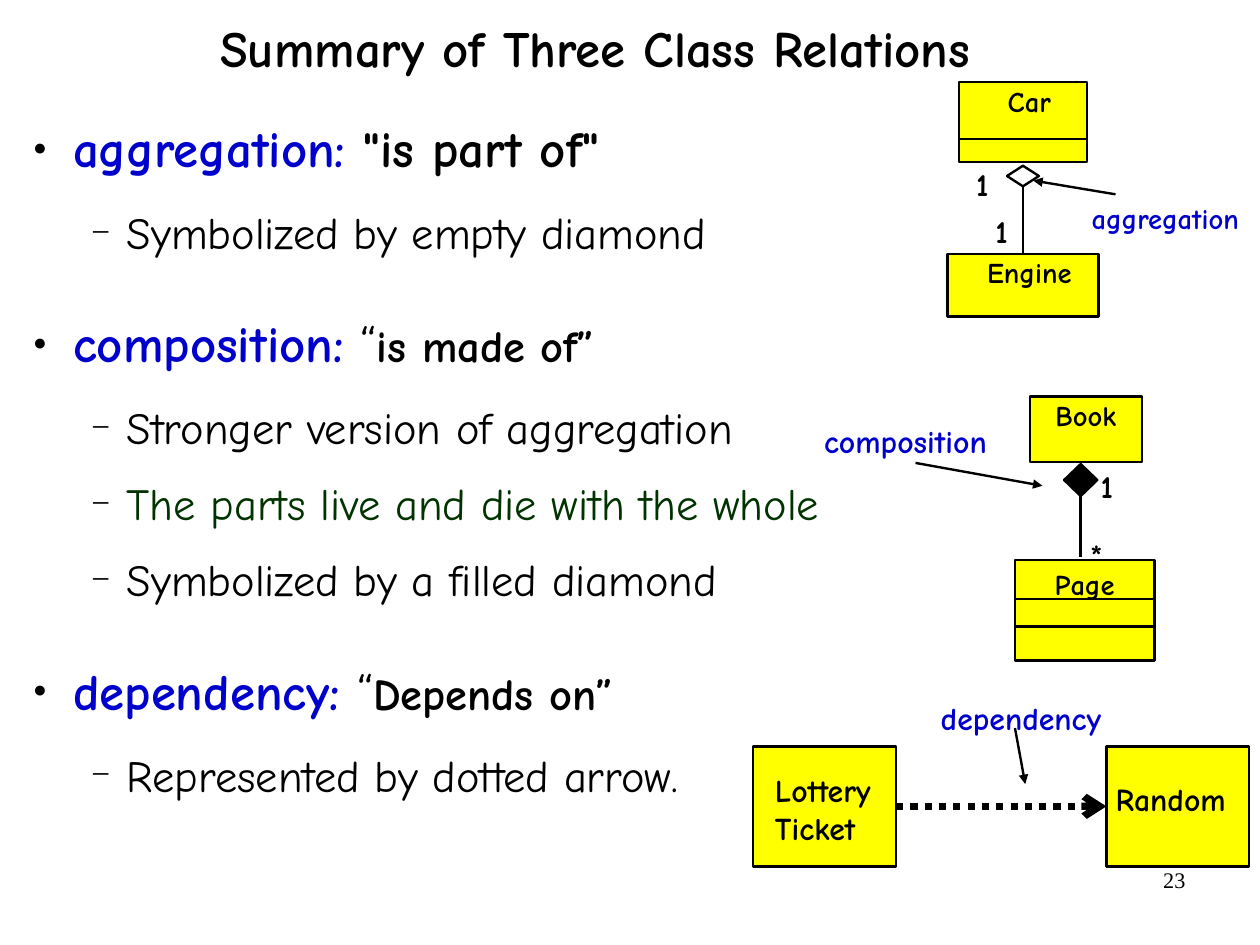
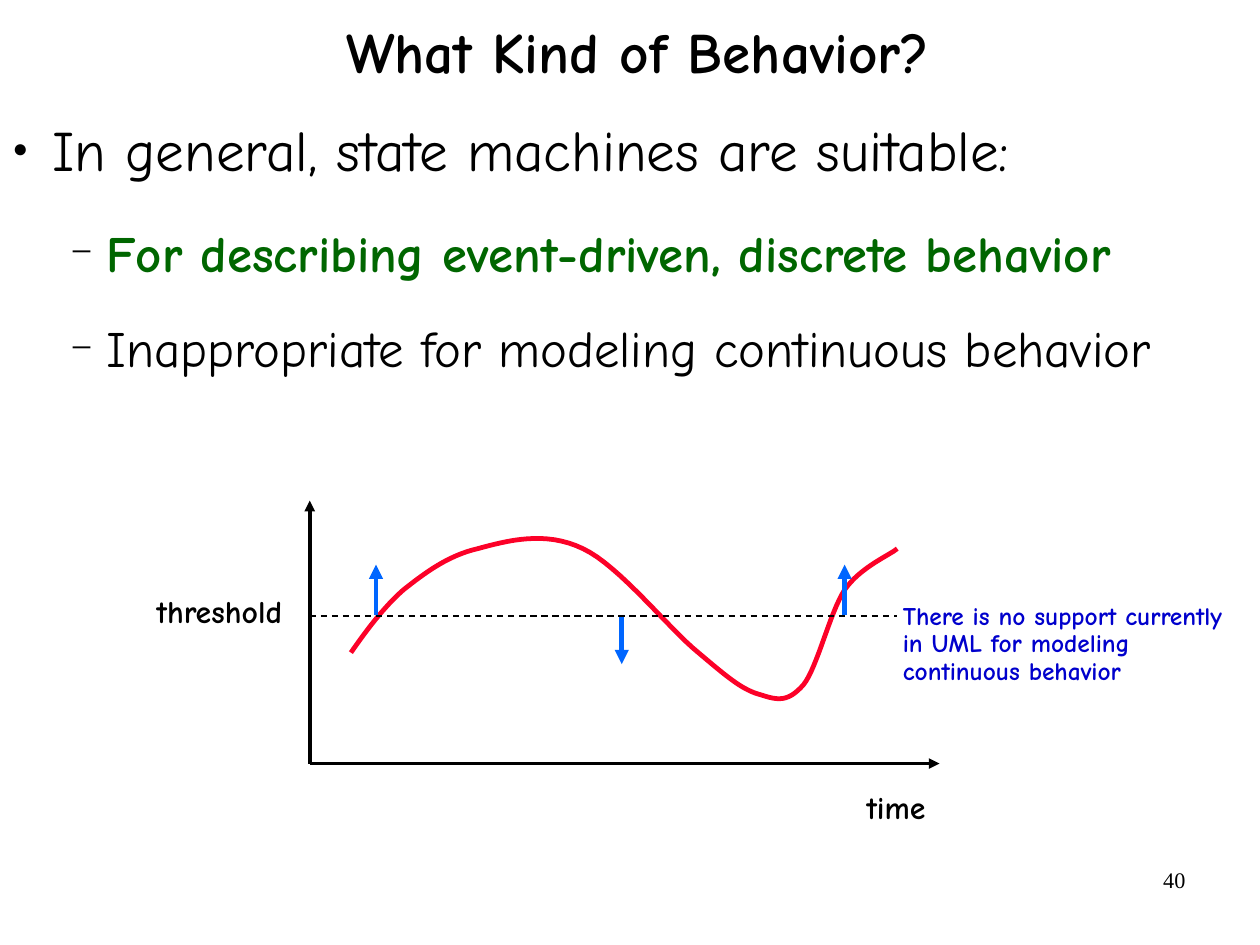
from dataclasses import dataclass
from typing import NamedTuple

from lxml import etree
from pptx import Presentation
from pptx.dml.color import RGBColor
from pptx.enum.dml import MSO_LINE
from pptx.enum.shapes import MSO_CONNECTOR, MSO_SHAPE
from pptx.enum.text import MSO_ANCHOR, PP_ALIGN
from pptx.oxml.ns import qn
from pptx.util import Cm, Inches, Pt

RECT, DIAMOND = MSO_SHAPE.RECTANGLE, MSO_SHAPE.DIAMOND
STRAIGHT = MSO_CONNECTOR.STRAIGHT
LEFT, MID, RIGHT = PP_ALIGN.LEFT, PP_ALIGN.CENTER, PP_ALIGN.RIGHT
TOP, CORE = MSO_ANCHOR.TOP, MSO_ANCHOR.MIDDLE
DOT, DASH = MSO_LINE.ROUND_DOT, MSO_LINE.DASH
CELL = Inches(0.1)


@dataclass(frozen=True)
class Theme:
    """Colours, fonts and type sizes of the deck."""
    face: str = "Comic Neue"
    serif: str = "Times New Roman"
    ink: str = "000000"
    blue: str = "0000CC"
    pine: str = "003300"
    green: str = "006600"
    gold: str = "FFFF00"
    red: str = "FC0128"
    sky: str = "0066FF"
    huge: int = 36
    large: int = 32
    body: int = 28
    label: int = 20
    name: int = 18
    note: int = 16
    foot: int = 14


T = Theme()


class Box(NamedTuple):
    """Area measured in grid cells."""
    x: float
    y: float
    w: float
    h: float

    def sub(self, x, y, w, h):
        """Return an area placed from this one's corner."""
        return Box(self.x + x, self.y + y, w, h)

    def dot(self, x, y):
        """Return a point placed from this one's corner."""
        return round((self.x + x) * CELL), round((self.y + y) * CELL)

    def emu(self):
        """Return the four lengths in slide units."""
        return [round(v * CELL) for v in self]


class Run(NamedTuple):
    """Text with one look."""
    text: str
    size: int
    tint: str = T.ink
    bold: bool = True
    face: str = T.face


class Para(NamedTuple):
    """Runs with paragraph format and an optional bullet level."""
    runs: list
    form: dict
    level: int = None


BULLETS = [("●", 45, 0.46, -0.35), ("−", 75, 0.93, -0.31)]


def adorn(obj, vals):
    """Set each named value on the object."""
    for key, val in vals.items():
        setattr(obj, key, val)


def tag(parent, name, **attrs):
    """Append a drawing element."""
    return etree.SubElement(parent, qn(name), attrs)


def mark(para, level):
    """Give a paragraph the bullet of its level."""
    char, size, left, hang = BULLETS[level]
    para.level = level
    prop = para._p.get_or_add_pPr()
    prop.set("marL", str(Inches(left)))
    prop.set("indent", str(Inches(hang)))
    tag(tag(prop, "a:buClr"), "a:srgbClr", val=T.ink)
    tag(prop, "a:buSzPct", val=str(size * 1000))
    tag(prop, "a:buFont", typeface=T.serif)
    tag(prop, "a:buChar", char=char)


def fill_para(para, runs):
    """Add the runs, breaking lines where their text does."""
    for part in runs:
        for i, words in enumerate(part.text.split("\n")):
            if i:
                para.add_line_break()
            run = para.add_run()
            run.text = words
            adorn(run.font, dict(name=part.face, size=Pt(part.size), bold=part.bold))
            run.font.color.rgb = RGBColor.from_string(part.tint)


def write(shape, paras, pads=(0, 0, 0, 0), anchor=TOP):
    """Fill a shape's frame with paragraphs; pads are in cells."""
    frame = shape.text_frame
    left, top, right, base = [round(v * CELL) for v in pads]
    adorn(frame, dict(word_wrap=True, vertical_anchor=anchor, margin_left=left,
                      margin_top=top, margin_right=right, margin_bottom=base))
    for i, item in enumerate(paras):
        para = frame.add_paragraph() if i else frame.paragraphs[0]
        if item.level is not None:
            mark(para, item.level)
        adorn(para, item.form)
        fill_para(para, item.runs)


def text(page, box, paras, pads=(0, 0, 0, 0), anchor=TOP):
    """Add a text box."""
    write(page.shapes.add_textbox(*box.emu()), paras, pads, anchor)


def label(page, box, words, size=T.label, tint=T.ink, align=LEFT):
    """Add a short bold caption."""
    text(page, box, [Para([Run(words, size, tint)], dict(alignment=align))],
         (1.1, 0.6, 1.1, 0.6))


def ink(shape, tint, width):
    """Set a shape's outline."""
    shape.line.color.rgb = RGBColor.from_string(tint)
    shape.line.width = Pt(width)


def block(page, box, kind=RECT, fill=T.gold):
    """Add an outlined preset shape; no fill leaves it hollow."""
    shape = page.shapes.add_shape(kind, *box.emu())
    shape.shadow.inherit = False
    if fill:
        shape.fill.solid()
        shape.fill.fore_color.rgb = RGBColor.from_string(fill)
    else:
        shape.fill.background()
    ink(shape, T.ink, 1.5)
    return shape


def line(page, start, stop, tip=None, tint=T.ink, width=1.5, dash=None,
         begin=None, end=None):
    """Add a connector, joined to a (shape, site) pair where one is given."""
    link = page.shapes.add_connector(STRAIGHT, *start, *stop)
    ink(link, tint, width)
    if dash:
        link.line.dash_style = dash
    if begin:
        link.begin_connect(*begin)
    if end:
        link.end_connect(*end)
    prop = link._element.spPr
    if tip:
        tag(prop.find(qn("a:ln")), "a:tailEnd", type=tip)
    tag(prop, "a:effectLst")


def entity(page, box, name, pads=(1.1, 0.5, 1.1, 0.5), cuts=(), size=T.name,
           align=MID, lead=0.88):
    """Add a class box with its name and dividers at shares of its height."""
    shape = block(page, box)
    form = dict(alignment=align, line_spacing=lead)
    write(shape, [Para([Run(name, size)], form)], pads)
    for cut in cuts:
        y = box.h * cut
        line(page, box.dot(0, y), box.dot(box.w, y))
    return shape


def has_a(page, box):
    """Draw the aggregation diagram."""
    pads = (2.2, 0.5, 1.1, 0.5)
    entity(page, box.sub(1, 0, 11.2, 7), "Car", pads, [0.71])
    part = entity(page, box.sub(0, 15, 13.2, 5.5), "Engine", pads)
    gem = block(page, box.sub(5.2, 7.3, 2.8, 1.8), DIAMOND, None)
    line(page, box.dot(6.6, 9.1), box.dot(6.6, 15), begin=(gem, 2), end=(part, 0))
    for x, y in [(1.4, 6.6), (3.1, 10.7)]:
        label(page, box.sub(x, y, 4, 4.4), "1")
    label(page, box.sub(11.5, 9.8, 15.8, 4.1), "aggregation", T.name, T.blue)
    line(page, box.dot(14.7, 9.8), box.dot(7.5, 8.6), "triangle")


def made_of(page, box):
    """Draw the composition diagram."""
    entity(page, box.sub(19.1, 0, 9.8, 5.7), "Book")
    entity(page, box.sub(17.8, 14.3, 12.2, 8.8), "Page", (1.1, 0.6, 1.1, 0.6),
           [0.39, 0.66], lead=1.0)
    gem = block(page, box.sub(22.1, 5.9, 2.9, 2.8), DIAMOND, T.ink)
    line(page, box.dot(23.55, 8.7), box.dot(23.55, 14), begin=(gem, 2))
    for x, y, sign in [(24.2, 5.5, "1"), (23.3, 11.6, "*")]:
        label(page, box.sub(x, y, 4, 4.4), sign)
    label(page, box.sub(0, 1.6, 19, 4.4), "composition", tint=T.blue)
    line(page, box.dot(9.1, 5.8), box.dot(20.2, 7.8), "triangle")


def needs(page, box):
    """Draw the dependency diagram."""
    user, tool = [
        entity(page, box.sub(x, 4.8, 12.5, 10.5), name, pads, size=T.label,
               align=LEFT, lead=1.0)
        for x, name, pads in [(0, "Lottery\nTicket", (1.9, 2.1, 0.5, 0.5)),
                              (30.9, "Random", (0.8, 2.9, 0.5, 0.5))]]
    line(page, box.dot(12.5, 10), box.dot(30.9, 10), "arrow", width=4.5, dash=DOT,
         begin=(user, 3), end=(tool, 1))
    label(page, box.sub(15.3, 0, 17.9, 4.4), "dependency", tint=T.blue)
    line(page, box.dot(22.9, 3.2), box.dot(23.8, 8.1), "triangle")


def bend(knots, steps=16):
    """Return points along joined cubic curves."""
    dots = [knots[0]]
    for i in range(0, len(knots) - 1, 3):
        a, b, c, d = knots[i:i + 4]
        for n in range(1, steps + 1):
            t = n / steps
            u = 1 - t
            dots.append(tuple(u**3 * p + 3 * u * u * t * q + 3 * u * t * t * r + t**3 * s
                              for p, q, r, s in zip(a, b, c, d)))
    return dots


WAVE = [(18.9, 13.3), (20.3, 11.3), (21.7, 9.4), (23.5, 7.8), (25.4, 6.3),
        (27.4, 4.8), (30, 4.2), (32.6, 3.5), (35.9, 2.6), (39.2, 4.2),
        (42.4, 5.7), (46.7, 11.2), (49.3, 13.3), (51.9, 15.5), (53.2, 16.6),
        (54.8, 17), (56.3, 17.5), (57.2, 17.6), (58.5, 16.1), (59.7, 14.6),
        (60.8, 9.8), (62.1, 7.8), (63.5, 5.8), (66, 4.8), (66.7, 4.2)]


def plot(page, box):
    """Draw the signal over time with its threshold."""
    dots = [box.dot(*knot) for knot in bend(WAVE)]
    pen = page.shapes.build_freeform(*dots[0])
    pen.add_line_segments(dots[1:], close=False)
    wave = pen.convert_to_shape()
    wave.shadow.inherit = False
    wave.fill.background()
    ink(wave, T.red, 3)
    for x, y in [(15.3, 0), (70.4, 23)]:
        line(page, box.dot(15.3, 23), box.dot(x, y), "triangle", width=2.25)
    for x, y in [(21.1, 5.6), (62.1, 5.6), (42.6, 14.3)]:
        line(page, box.dot(x, 10), box.dot(x, y), "triangle", T.sky, 3)
    line(page, box.dot(15.3, 10.1), box.dot(66.7, 10.1), width=1, dash=DASH)
    label(page, box.sub(0, 7.4, 14.8, 4.4), "threshold", align=MID)
    label(page, box.sub(62.6, 24.5, 8, 4.4), "time", align=MID)
    note = Run("There is no support currently in UML for modeling continuous behavior",
               T.note, T.blue)
    text(page, box.sub(66.2, 8.5, 30.8, 8), [Para([note], dict(line_spacing=0.9))],
         (1, 0.5, 0.5, 0.5))


def base(deck, title, size, head, number):
    """Add a slide with its title and number."""
    page = deck.slides.add_slide(deck.slide_layouts[6])
    text(page, head, [Para([Run(title, size)], dict(alignment=MID, line_spacing=0.88))],
         anchor=CORE)
    foot = Run(number, T.foot, bold=False, face=T.serif)
    text(page, Box(79, 75.3, 25.7, 5.7), [Para([foot], dict(alignment=RIGHT))],
         (1, 0.5, 1, 0.5))
    return page


def item(level, after, *runs, lead=1.1, before=0):
    """Return one bulleted paragraph."""
    form = dict(line_spacing=lead, space_before=Pt(before), space_after=Pt(after))
    return Para(runs, form, level)


def ties(deck):
    """Build the slide on class relations."""
    page = base(deck, "Summary of Three Class Relations", T.large,
                Box(5.1, 0, 94, 8.9), "23")

    def term(name, quote):
        """Return a term with its quoted meaning."""
        return item(0, 13.8, Run(name, T.large, T.blue),
                    Run(" “", T.large, bold=False), Run(quote, T.body))

    def fact(words, after=10.9, tint=T.ink):
        """Return a plain point below a term."""
        return item(1, after, Run(words, T.body, tint, False))

    text(page, Box(1.8, 9.7, 74.6, 63.3), [
        item(0, 13.8, Run("aggregation: ", T.large, T.blue), Run('"is part of"', T.large)),
        fact("Symbolized by empty diamond", 30),
        term("composition:", "is made of”"),
        fact("Stronger version of aggregation"),
        fact("The parts live and die with the whole", tint=T.pine),
        fact("Symbolized by a filled diamond", 30),
        term("dependency:", "Depends on”"),
        fact("Represented by dotted arrow.")])
    has_a(page, Box(82.9, 7.2, 27.3, 20.5))
    made_of(page, Box(71, 34.7, 32.4, 23.1))
    needs(page, Box(65.9, 60.5, 43.4, 15.3))


def modes(deck):
    """Build the slide on kinds of behavior."""
    page = base(deck, "What Kind of Behavior?", T.huge, Box(8.8, 0, 94, 9.7), "40")
    text(page, Box(0, 8.8, 108.5, 33), [
        item(0, 13.8, Run("In general, state machines are suitable:", T.huge, bold=False),
             lead=1.2),
        item(1, 10.9, Run("For describing event-driven, discrete behavior", T.large, T.green),
             lead=1.2, before=3),
        item(1, 10.9, Run("Inappropriate for modeling continuous behavior", T.large,
                          bold=False), lead=1.2, before=3)])
    plot(page, Box(11.8, 43.8, 97, 29))


def main():
    """Build and save the deck."""
    deck = Presentation()
    deck.slide_width = Cm(28)
    deck.slide_height = Cm(21)
    ties(deck)
    modes(deck)
    deck.save("out.pptx")


if __name__ == "__main__":
    main()
